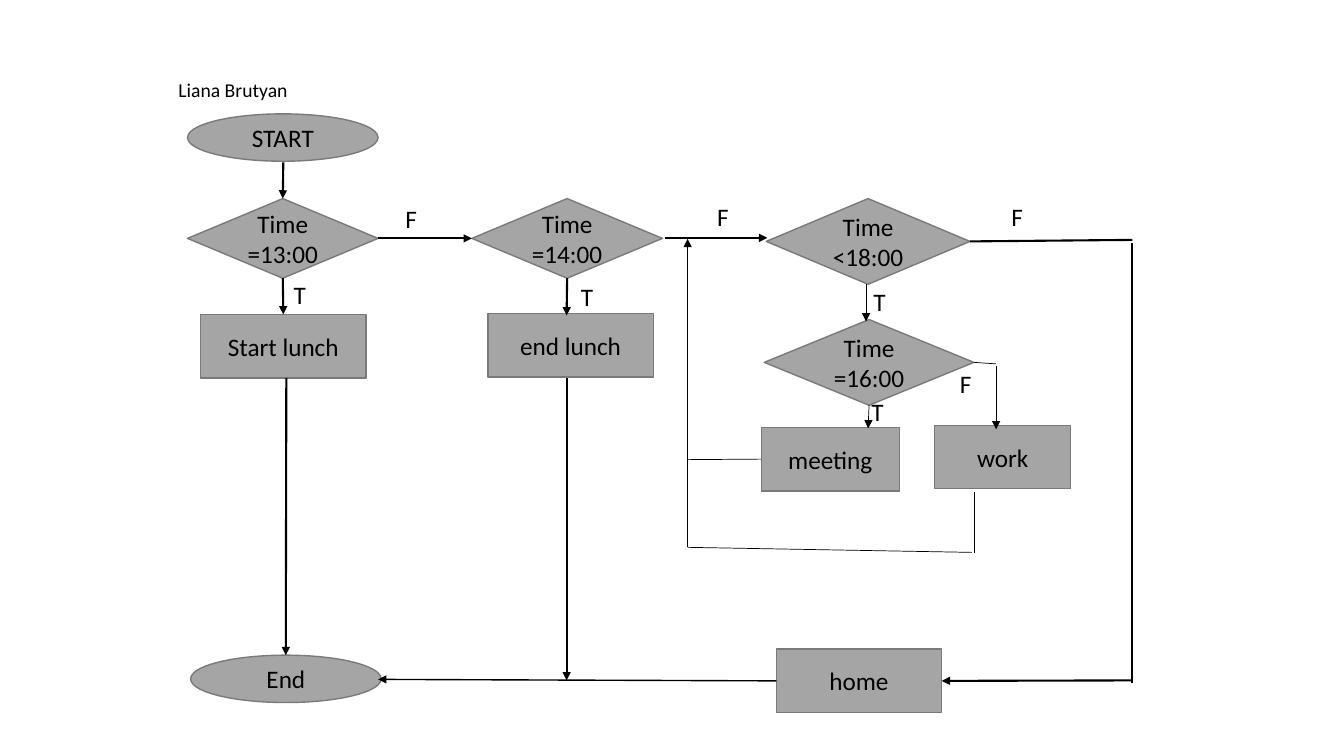
from lxml import etree
from pptx import Presentation
from pptx.dml.color import RGBColor
from pptx.enum import shapes, text
from pptx.oxml import ns
from pptx.util import Inches, Pt

COLORS = {"fill": "A5A5A5", "edge": "7A7A7A", "ink": "000000"}
FONT = "Calibri"
TOP, LEFT, BOTTOM, RIGHT = range(4)
OVAL = shapes.MSO_SHAPE.OVAL
DIAMOND = shapes.MSO_SHAPE.DIAMOND
RECTANGLE = shapes.MSO_SHAPE.RECTANGLE

AUTHOR = "Liana Brutyan"
# name: (kind, wording, left, top, width, height)
STEPS = {
    "start": (OVAL, "START", 1.86, 1.13, 1.89, 0.47),
    "13:00": (DIAMOND, "Time =13:00", 1.86, 1.97, 1.89, 0.79),
    "start lunch": (RECTANGLE, "Start lunch", 1.99, 3.12, 1.64, 0.63),
    "end": (OVAL, "End", 1.89, 6.5, 1.89, 0.47),
    "14:00": (DIAMOND, "Time =14:00", 4.68, 1.97, 1.89, 0.79),
    "end lunch": (RECTANGLE, "end lunch", 4.84, 3.11, 1.64, 0.63),
    "18:00": (DIAMOND, "Time\n<18:00", 7.6, 1.97, 2.02, 0.85),
    "16:00": (DIAMOND, "Time =16:00", 7.58, 3.17, 2.08, 0.85),
    "meeting": (RECTANGLE, "meeting", 7.55, 4.24, 1.37, 0.63),
    "work": (RECTANGLE, "work", 9.27, 4.22, 1.35, 0.63),
    "home": (RECTANGLE, "home", 7.7, 6.44, 1.64, 0.63),
}
# An end is either a point (x, y) or a joined side (step name, side).
# (begin, end, line width, has arrowhead)
FLOWS = [
    ((2.81, 1.61), ("13:00", TOP), 1.5, True),
    (("13:00", BOTTOM), ("start lunch", TOP), 1.5, True),
    ((2.84, 3.75), ("end", TOP), 1.5, True),
    (("13:00", RIGHT), ("14:00", LEFT), 1.5, True),
    ((6.6, 2.36), (7.61, 2.36), 1.5, True),
    (("14:00", BOTTOM), (5.62, 3.13), 1.5, True),
    ((5.62, 3.75), (5.62, 6.75), 1.5, True),
    (("home", LEFT), (3.75, 6.74), 1, True),
    ((8.59, 2.82), (8.59, 3.19), 0.5, True),
    (("16:00", BOTTOM), (8.61, 4.25), 0.5, True),
    (("16:00", RIGHT), (9.88, 3.61), 0.5, False),
    ((9.88, 3.63), (9.88, 4.26), 0.5, True),
    (("18:00", RIGHT), (11.23, 2.38), 1.5, False),
    ((11.23, 2.41), (11.23, 6.78), 1.5, False),
    ((11.23, 6.75), ("home", RIGHT), 1.5, True),
    ((9.66, 4.88), (9.66, 5.49), 0.5, False),
    ((6.82, 5.43), (9.64, 5.48), 0.5, False),
    ((6.82, 5.43), (6.82, 2.37), 0.5, True),
    (("meeting", LEFT), (6.82, 4.56), 0.5, False),
]
BRANCH_LABELS = [
    ("T", 2.84, 2.72), ("F", 3.95, 1.97), ("T", 5.69, 2.74), ("F", 7.04, 1.95),
    ("T", 8.59, 2.79), ("F", 9.96, 1.95), ("F", 9.45, 3.61), ("T", 8.57, 3.88),
]


def color(name):
    return RGBColor.from_string(COLORS[name])


def write(shape, wording, size, align):
    frame = shape.text_frame
    frame.text = wording
    frame.word_wrap = True
    for para in frame.paragraphs:
        para.alignment = align
        for span in para.runs:
            span.font.name = FONT
            span.font.size = Pt(size)
            span.font.color.rgb = color("ink")


def add_step(page, kind, wording, *place):
    box = page.shapes.add_shape(kind, *map(Inches, place))
    box.shadow.inherit = False
    box.fill.solid()
    box.fill.fore_color.rgb = color("fill")
    box.line.color.rgb = color("edge")
    box.line.width = Pt(1)
    write(box, wording, 18, text.PP_ALIGN.CENTER)
    box.text_frame.vertical_anchor = text.MSO_ANCHOR.MIDDLE
    return box


def add_flow(page, boxes, begin, end, width, has_arrow):
    points = [(0, 0) if p[0] in boxes else p for p in (begin, end)]
    line = page.shapes.add_connector(
        shapes.MSO_CONNECTOR.STRAIGHT, *(Inches(v) for p in points for v in p))
    if begin[0] in boxes:
        line.begin_connect(boxes[begin[0]], begin[1])
    if end[0] in boxes:
        line.end_connect(boxes[end[0]], end[1])
    line.line.color.rgb = color("ink")
    line.line.width = Pt(width)
    if has_arrow:
        etree.SubElement(line.line._get_or_add_ln(), ns.qn("a:tailEnd"), type="triangle")
    etree.SubElement(line._element.spPr, ns.qn("a:effectLst"))


def main():
    deck = Presentation()
    deck.slide_width, deck.slide_height = Inches(13.33), Inches(7.5)
    page = deck.slides.add_slide(deck.slide_layouts[5])

    title = page.shapes.title
    title.left, title.top = Inches(1.67), Inches(0.67)
    title.width, title.height = Inches(10), Inches(0.39)
    write(title, AUTHOR, 14, text.PP_ALIGN.LEFT)
    title.text_frame.vertical_anchor = text.MSO_ANCHOR.BOTTOM
    title.text_frame.paragraphs[0].line_spacing = 0.9

    boxes = {name: add_step(page, *step) for name, step in STEPS.items()}
    for flow in FLOWS:
        add_flow(page, boxes, *flow)
    for wording, left, top in BRANCH_LABELS:
        label = page.shapes.add_textbox(*map(Inches, (left, top, 0.17, 0.4)))
        write(label, wording, 18, text.PP_ALIGN.LEFT)
        label.text_frame.auto_size = text.MSO_AUTO_SIZE.SHAPE_TO_FIT_TEXT

    deck.save("out.pptx")


if __name__ == "__main__":
    main()
